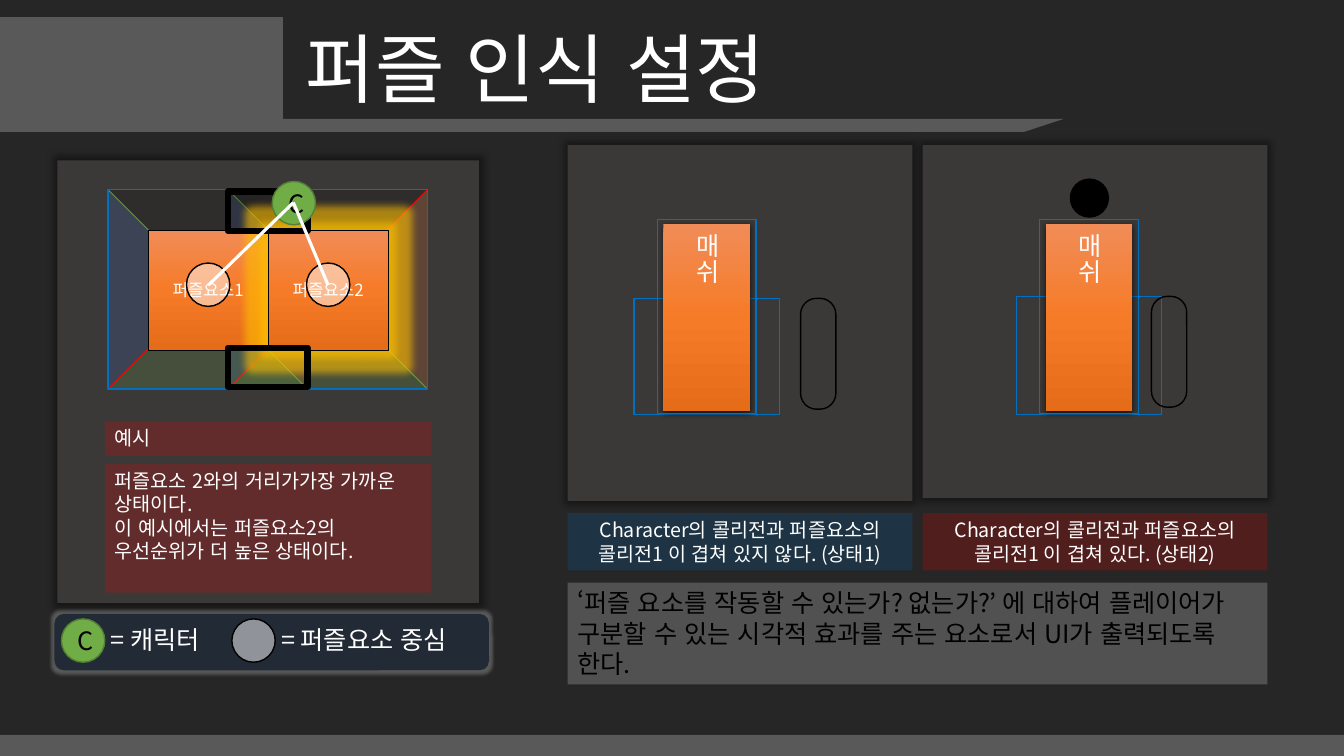
from copy import deepcopy
from dataclasses import dataclass
from lxml.etree import SubElement
from pptx import Presentation
from pptx.dml.color import RGBColor
from pptx.enum.lang import MSO_LANGUAGE_ID as Lang
from pptx.enum.shapes import MSO_CONNECTOR, MSO_SHAPE as Shape
from pptx.enum.text import MSO_ANCHOR as Anchor, MSO_AUTO_SIZE as Auto, PP_ALIGN as Align
from pptx.oxml.ns import qn
from pptx.util import Inches, Pt

TITLE = "퍼즐 인식 설정"
ELEMENTS = ["퍼즐요소1", "퍼즐요소2"]
EXAMPLE_HEAD = ["예시"]
EXAMPLE = ["퍼즐요소 2와의 거리가가장 가까운 상태이다.",
           "이 예시에서는 퍼즐요소2의 우선순위가 더 높은 상태이다."]
LEGEND = [("C", "= 캐릭터", 0.61, 1.41), ("", "= 퍼즐요소 중심", 2.3, 2.1)]
MESH = "매쉬"
SUMMARY = [["‘퍼즐 요소를 작동할 수 있는가? 없는가?’ ", "에 대하여 ",
            "플레이어가 구분할 수 있는 시각적 효과를 주는 요소로서 UI가 출력되도록 한다."]]


@dataclass(frozen=True)
class Theme:
    font: str = "Noto Sans CJK KR"
    alt_font: str = "Arial"
    back: str = "262626"
    bar: str = "595959"
    panel: str = "3B3838"
    legend: str = "222A35"
    white: str = "FFFFFF"
    black: str = "000000"
    red: str = "FF0000"
    blue: str = "0070C0"
    navy: str = "4472C4"
    green: str = "70AD47"
    dark_green: str = "538035"
    orange: str = "ED7D31"
    glow: str = "FFC000"
    halo: str = "A5A5A5"
    mesh: tuple = ((0, "F18C57"), (0.5, "F67B28"), (1, "E56C19"))
    title: int = 54
    large: int = 18
    body: int = 14
    small: int = 12


T = Theme()
STATES = [  # panel height, mesh left, zone top and height, capsule left, caption colour and text
    dict(panel=3.53, mesh=6.58, zone=(2.96, 1.15), capsule=7.94, color=T.blue,
         text=["Character의 콜리전과 퍼즐요소의", "콜리전1 이 겹쳐 있지 않다. (상태1)"]),
    dict(panel=3.5, mesh=10.37, zone=(2.94, 1.17), capsule=11.42, color=T.red,
         text=["Character의 콜리전과 퍼즐요소의", "콜리전1 이 겹쳐 있다. (상태2)"])]
ROOM, CELL, BALL = 1.98, 1.19, 0.43
ROOM_X, ROOM_Y = 1.07, 1.88
STATE_X, STATE_W, STATE_PITCH = 5.63, 3.42, 3.52

prs = Presentation()
prs.slide_width, prs.slide_height = Inches(13.33), Inches(7.5)
slide = prs.slides.add_slide(prs.slide_layouts[5])
slide.background.fill.solid()
slide.background.fill.fore_color.rgb = RGBColor.from_string(T.back)


def write(sp, paragraphs, size=T.body, color=T.white, align=Align.LEFT,
          anchor=Anchor.TOP, wrap=True, vert=None):
    """Fill a shape with paragraphs; a paragraph given as a list has several runs."""
    tf = sp.text_frame
    tf.word_wrap, tf.auto_size, tf.vertical_anchor = wrap, Auto.NONE, anchor
    tf.margin_left = tf.margin_right = Inches(0.1)
    tf.margin_top = tf.margin_bottom = Inches(0.05)
    if vert:
        tf._txBody.bodyPr.set("vert", vert)
    for i, runs in enumerate(paragraphs):
        p = tf.paragraphs[0] if i == 0 else tf.add_paragraph()
        p.alignment, p.line_spacing = align, 1.0
        for j, text in enumerate([runs] if isinstance(runs, str) else runs):
            r = p.add_run()
            r.text = text
            r.font.size, r.font.name = Pt(size), T.alt_font if j == 1 else T.font
            r.font.language_id = Lang.KOREAN
            r.font.color.rgb = RGBColor.from_string(color)
            SubElement(r._r.get_or_add_rPr(), qn("a:ea"), typeface=T.font)


def effect(sp, tag, color, alpha, **attrs):
    node = SubElement(sp.element.spPr.find(qn("a:effectLst")), qn(tag),
                      {k: str(v) for k, v in attrs.items()})
    clr = SubElement(node, qn("a:srgbClr"), val=color)
    SubElement(clr, qn("a:alpha"), val=str(alpha * 1000))


def shadow(sp, alpha, blur, dist=0, direction=0, scale=100):
    effect(sp, "a:outerShdw", T.black, alpha, blurRad=Pt(blur), dist=Pt(dist),
           dir=direction * 60000, sx=scale * 1000, sy=scale * 1000,
           algn="ctr", rotWithShape=0)


def shape(kind, x, y, w, h, fill=None, alpha=100, line=None, width=1, rot=0, adj=None):
    sp = slide.shapes.add_shape(kind, Inches(x), Inches(y), Inches(w), Inches(h))
    sp.shadow.inherit = False
    sp.rotation = rot
    if adj is not None:
        sp.adjustments[0] = adj
    if fill is None:
        sp.fill.background()
    elif isinstance(fill, tuple):
        sp.fill.gradient()
        sp.fill.gradient_angle = 270
        stops = sp.element.spPr.find(".//" + qn("a:gsLst"))
        stops.append(deepcopy(stops[0]))
        for stop, (position, color) in zip(sp.fill.gradient_stops, fill):
            stop.position, stop.color.rgb = position, RGBColor.from_string(color)
    else:
        sp.fill.solid()
        sp.fill.fore_color.rgb = RGBColor.from_string(fill)
        if alpha < 100:
            clr = sp.element.spPr.find(qn("a:solidFill"))[0]
            SubElement(clr, qn("a:alpha"), val=str(alpha * 1000))
    if line:
        sp.line.color.rgb, sp.line.width = RGBColor.from_string(line), Pt(width)
    else:
        sp.line.fill.background()
    return sp


def connect(x1, y1, x2, y2, color, width):
    c = slide.shapes.add_connector(MSO_CONNECTOR.STRAIGHT, *map(Inches, (x1, y1, x2, y2)))
    c.line.color.rgb, c.line.width = RGBColor.from_string(color), Pt(width)
    SubElement(c.element.spPr, qn("a:effectLst"))


def ball(x, y, text):
    """Green lettered ball for the character, see-through ball for an element's centre."""
    if text:
        sp = shape(Shape.OVAL, x, y, BALL, BALL, T.green, line=T.dark_green)
        write(sp, [text], T.large, T.black, Align.CENTER, Anchor.MIDDLE)
    else:
        shape(Shape.OVAL, x, y, BALL, BALL, T.white, 50, T.black)


def room(x, y):
    half, cx, cy = ROOM / 2, x + ROOM / 2, y + ROOM / 2
    for dx, dy, rot, color in [(0, -1, 180, T.black), (-1, 0, 90, T.navy),
                               (0, 1, 0, T.green), (1, 0, 270, T.orange)]:
        shape(Shape.ISOSCELES_TRIANGLE, cx - half + dx * half / 2, cy - half / 2 + dy * half / 2,
              ROOM, half, color, 20, rot=rot)
    connect(x + ROOM, y, x, y + ROOM, T.red, 0.5)
    connect(x, y, x + ROOM, y + ROOM, T.green, 0.5)
    shape(Shape.RECTANGLE, x, y, ROOM, ROOM, line=T.blue)


def header():
    shape(Shape.PARALLELOGRAM, -0.01, 0.17, 2.82, 1.14, T.bar, adj=0)
    shape(Shape.PARALLELOGRAM, 2.31, 1.18, 8.24, 0.13, T.bar, adj=3.05)
    shape(Shape.RECTANGLE, 0, 7.29, 13.33, 0.22, T.bar)
    title = slide.shapes.title
    title.left, title.top, title.width, title.height = map(Inches, (2.93, 0.17, 5.28, 1.01))
    write(title, [TITLE], T.title, wrap=False)


def example():
    shadow(shape(Shape.RECTANGLE, 0.57, 1.59, 4.18, 4.39, T.panel), 40, 5, scale=102)
    for i in (1, 0):
        room(ROOM_X + CELL * i, ROOM_Y)
    for i, name in enumerate(ELEMENTS):
        sp = shape(Shape.RECTANGLE, 1.47 + CELL * i, 2.28, CELL, CELL, T.mesh,
                   line=T.black, width=0.25)
        write(sp, [name], T.small, align=Align.CENTER, anchor=Anchor.MIDDLE)
    effect(sp, "a:glow", T.glow, 60, rad=Pt(11))
    for y in (1.9, 3.45):
        shape(Shape.RECTANGLE, ROOM_X + CELL, y, 0.79, 0.39, line=T.black, width=4.5)
    ball(2.7, 1.8, "C")
    centers = [1.85 + CELL * i for i in range(2)]
    for x in centers:
        ball(x, 2.61, "")
    for x in centers:
        connect(x + BALL / 2, 2.83, 2.91, 2.01, T.white, 2.25)
    for y, h, text in [(4.18, 0.34, EXAMPLE_HEAD), (4.6, 1.28, EXAMPLE)]:
        write(shape(Shape.RECTANGLE, 1.04, y, 3.24, h, T.red, 20), text)


def legend():
    sp = shape(Shape.ROUNDED_RECTANGLE, 0.54, 6.09, 4.31, 0.56, T.legend)
    effect(sp, "a:glow", T.halo, 40, rad=Pt(5))
    for mark, text, x, w in LEGEND:
        ball(x, 6.14, mark)
        sp = slide.shapes.add_textbox(*map(Inches, (x + 0.39, 6.14, w, 0.4)))
        write(sp, [text], T.large)


def state(x, s):
    panel = shape(Shape.RECTANGLE, x, 1.44, STATE_W, s["panel"], T.panel)
    shadow(panel, 40, 5, scale=102)
    top, height = s["zone"]
    shape(Shape.RECTANGLE, s["mesh"] - 0.29, top, 1.44, height, line=T.blue)
    sp = shape(Shape.RECTANGLE, s["mesh"], 2.22, 0.86, 1.86, T.mesh)
    shadow(sp, 63, 4.5, 1.5, 90)
    write(sp, [MESH], T.large, align=Align.CENTER, anchor=Anchor.MIDDLE, vert="eaVert")
    shape(Shape.ROUNDED_RECTANGLE, s["capsule"], top, 0.35, 1.1, line=T.black, adj=0.45)
    shape(Shape.RECTANGLE, s["mesh"] - 0.06, 2.18, 0.98, 1.92, line=T.blue)
    caption = shape(Shape.RECTANGLE, x, 5.09, STATE_W, 0.57, s["color"], 20)
    write(caption, s["text"], align=Align.CENTER)


header()
example()
legend()
for i in (1, 0):
    state(STATE_X + STATE_PITCH * i, STATES[i])
shape(Shape.OVAL, 10.61, 1.77, 0.39, 0.39, T.black)
summary = shape(Shape.RECTANGLE, STATE_X, 5.78, STATE_PITCH + STATE_W, 1.01, T.white, 20)
write(summary, SUMMARY, T.large, T.black)
prs.save("out.pptx")
